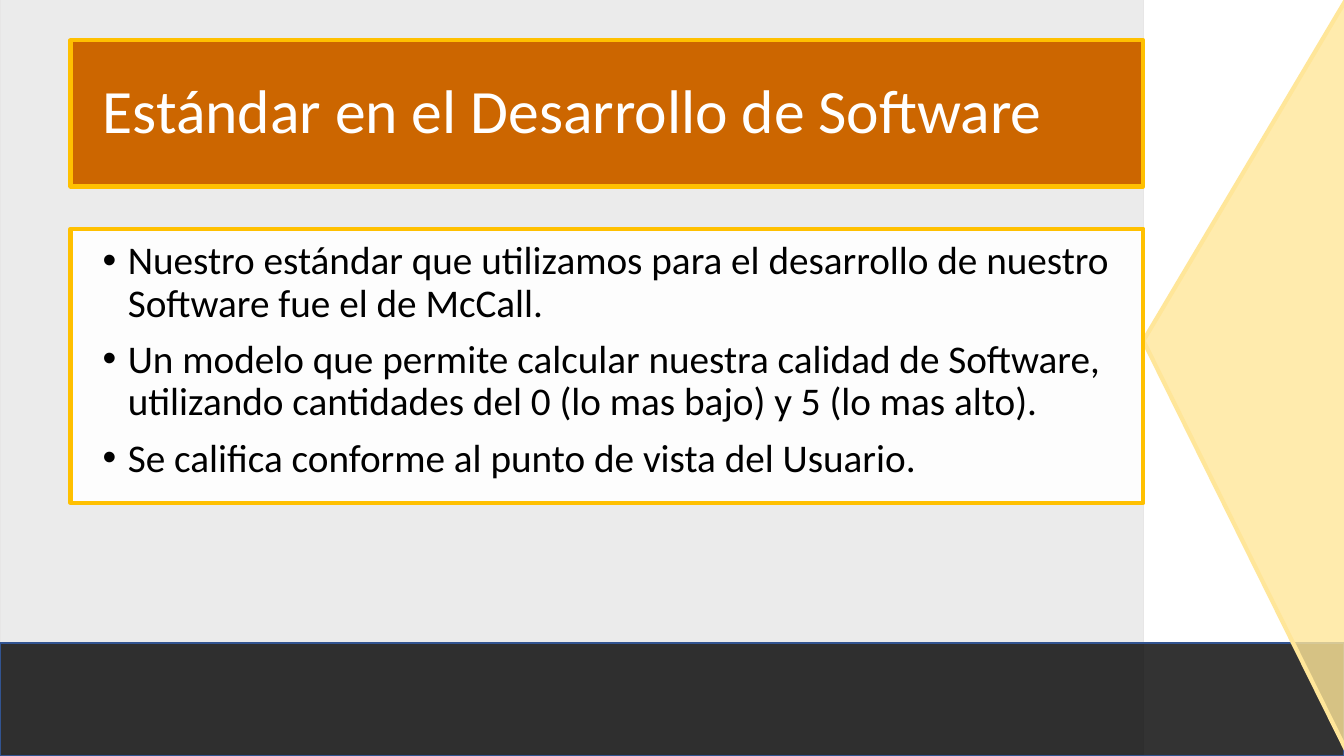
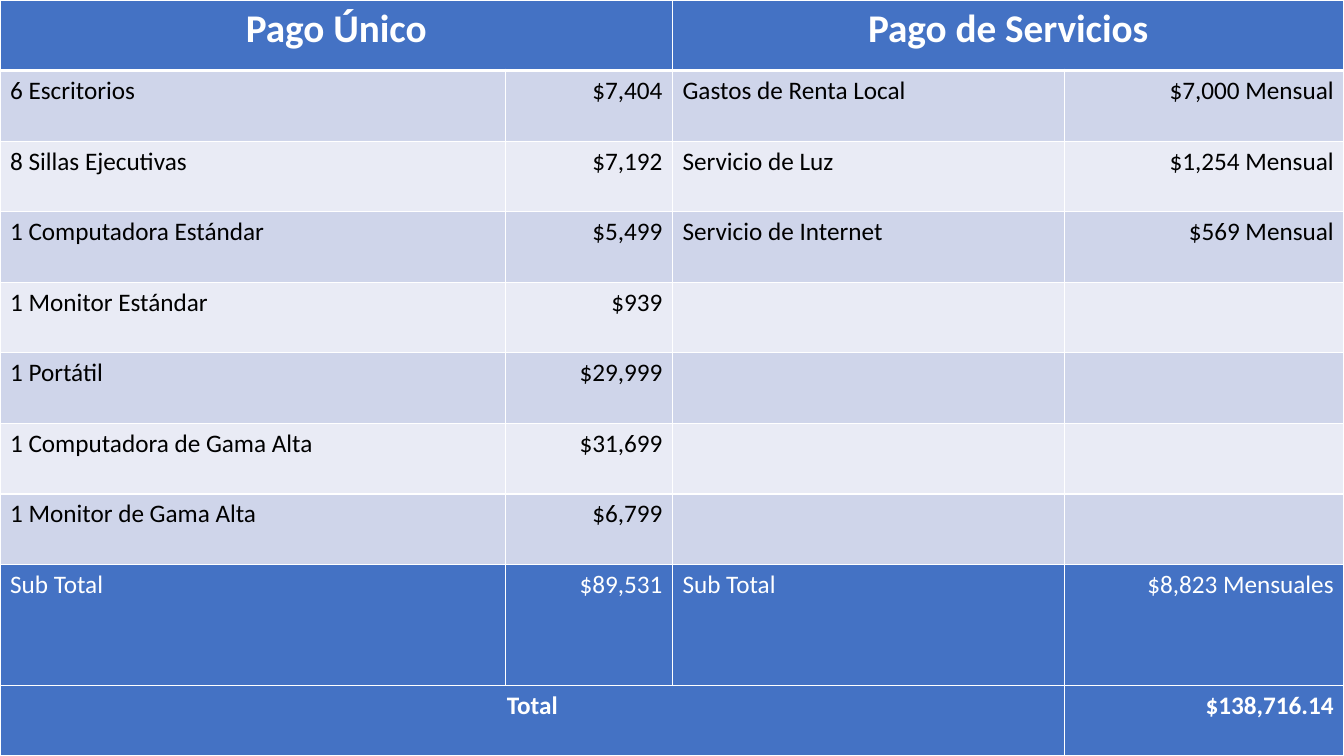
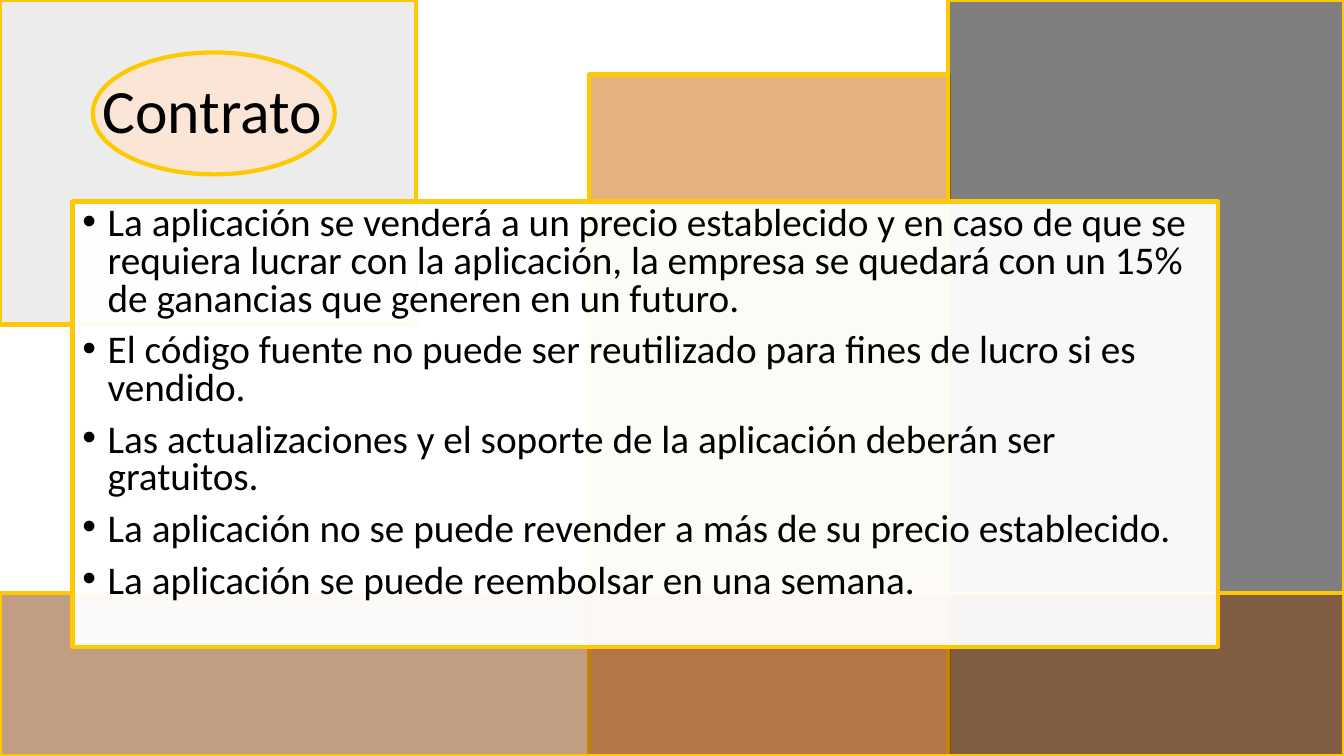
"""Builds three slides: quality standard, cost table and contract terms."""
from lxml.etree import SubElement
from pptx import Presentation
from pptx.dml.color import RGBColor
from pptx.enum.shapes import MSO_SHAPE as Preset
from pptx.enum.text import MSO_ANCHOR as Anchor, PP_ALIGN as Align
from pptx.oxml.ns import qn
from pptx.util import Inches, Pt

FONT = "Calibri"
WHITE, BLACK, ORANGE = "FFFFFF", "000000", "CC6600"
GOLD, AMBER, CREAM, GREY = "FFC000", "FFC901", "FFE699", "E7E6E6"
BLUE, BAND_DARK, BAND_LIGHT = "4472C4", "CFD5EA", "E9EBF5"
TITLE_BOX = (0.92, 0.4, 11.5, 1.45)

color = RGBColor.from_string


def paint(shape, fill, opacity, line, width):
    """Gives a shape its fill, opacity in percent and outline."""
    shape.shadow.inherit = False
    shape.fill.solid()
    shape.fill.fore_color.rgb = color(fill)
    if opacity < 100:
        tint = shape.fill._xPr.find(qn("a:solidFill"))[0]
        SubElement(tint, qn("a:alpha"), val=str(opacity * 1000))
    shape.line.color.rgb = color(line)
    shape.line.width = Pt(width)


def write(slide, box, lines, size, text_color=BLACK, spacing=0.9, bullets=False):
    """Adds a text box, either a vertically centred title or a bulleted list."""
    frame = slide.shapes.add_textbox(*map(Inches, box)).text_frame
    frame.word_wrap = True
    frame.vertical_anchor = Anchor.TOP if bullets else Anchor.MIDDLE
    for index, line in enumerate(lines):
        paragraph = frame.add_paragraph() if index else frame.paragraphs[0]
        paragraph.line_spacing = spacing
        if bullets:
            paragraph.space_before = Pt(10)
            properties = paragraph._p.get_or_add_pPr()
            properties.set("marL", str(Inches(0.25)))
            properties.set("indent", str(-Inches(0.25)))
            SubElement(properties, qn("a:buFont"), typeface="Arial")
            SubElement(properties, qn("a:buChar"), char="•")
        run = paragraph.add_run()
        run.text = line
        run.font.name = FONT
        run.font.size = Pt(size)
        run.font.color.rgb = color(text_color)


presentation = Presentation()
presentation.slide_width = Inches(13.33)
presentation.slide_height = Inches(7.5)
blank = presentation.slide_layouts[6]

standard = presentation.slides.add_slide(blank)
for box, fill, line in [
    ((0, -0.02, 11.34, 7.5), GREY, GREY),
    ((0, 6.38, 13.33, 1.12), BLACK, "325491"),
]:
    panel = standard.shapes.add_shape(Preset.RECTANGLE, *map(Inches, box))
    paint(panel, fill, 80, line, 1)

builder = standard.shapes.build_freeform(Inches(13.36), Inches(-0.02))
builder.add_line_segments(
    [(Inches(11.34), Inches(3.38)), (Inches(13.38), Inches(7.5))], close=True
)
paint(builder.convert_to_shape(), CREAM, 80, CREAM, 3)

for box, fill, opacity in [
    ((0.7, 0.4, 10.64, 1.45), ORANGE, 100),
    ((0.7, 2.27, 10.64, 2.72), WHITE, 95),
]:
    panel = standard.shapes.add_shape(Preset.RECTANGLE, *map(Inches, box))
    paint(panel, fill, opacity, GOLD, 3)

write(standard, TITLE_BOX, ["Estándar en el Desarrollo de Software"], 44, WHITE)
standard_points = [
    "Nuestro estándar que utilizamos para el desarrollo de nuestro Software fue el de McCall.",
    "Un modelo que permite calcular nuestra calidad de Software, utilizando cantidades del 0 (lo mas bajo) y 5 (lo mas alto).",
    "Se califica conforme al punto de vista del Usuario.",
]
write(standard, (0.92, 2.34, 11.5, 4.76), standard_points, 28, bullets=True)

costs = presentation.slides.add_slide(blank)
cost_rows = [
    ("Pago Único", "", "Pago de Servicios", ""),
    ("6 Escritorios", "$7,404", "Gastos de Renta Local", "$7,000 Mensual"),
    ("8 Sillas Ejecutivas", "$7,192", "Servicio de Luz", "$1,254 Mensual"),
    ("1 Computadora Estándar", "$5,499", "Servicio de Internet", "$569 Mensual"),
    ("1 Monitor Estándar", "$939", "", ""),
    ("1 Portátil", "$29,999", "", ""),
    ("1 Computadora de Gama Alta", "$31,699", "", ""),
    ("1 Monitor de Gama Alta", "$6,799", "", ""),
    ("Sub Total", "$89,531", "Sub Total", "$8,823 Mensuales"),
    ("Total", "", "", "$138,716.14"),
]
header, subtotal, total = 0, 8, 9
table = costs.shapes.add_table(
    len(cost_rows), 4, 0, 0, Inches(13.33), Inches(7.5)
).table
table.first_row = False
table.horz_banding = False
for column, width in zip(table.columns, (5.01, 1.66, 3.89, 2.77)):
    column.width = Inches(width)

for row_index, texts in enumerate(cost_rows):
    table.rows[row_index].height = Inches(1.2 if row_index == subtotal else 0.7)
    strong = row_index in (header, subtotal, total)
    band = BAND_DARK if row_index % 2 else BAND_LIGHT
    for column_index, text in enumerate(texts):
        cell = table.cell(row_index, column_index)
        properties = cell._tc.get_or_add_tcPr()
        for side in "LRTB":
            thick = (row_index, side) in ((header, "B"), (header + 1, "T"))
            border = SubElement(
                properties, qn("a:ln" + side), w=str(Pt(3 if thick else 1))
            )
            border_fill = SubElement(border, qn("a:solidFill"))
            SubElement(border_fill, qn("a:srgbClr"), val=WHITE)
        cell.fill.solid()
        cell.fill.fore_color.rgb = color(BLUE if strong else band)
        if not text:
            continue
        paragraph = cell.text_frame.paragraphs[0]
        if column_index % 2:
            paragraph.alignment = Align.RIGHT
        elif row_index in (header, total):
            paragraph.alignment = Align.CENTER
        run = paragraph.add_run()
        run.text = text
        run.font.name = FONT
        run.font.size = Pt(28 if row_index == header else 18)
        run.font.bold = row_index in (header, total)
        run.font.color.rgb = color(WHITE if strong else BLACK)

for row_index, first, last in [(header, 0, 1), (header, 2, 3), (total, 0, 2)]:
    table.cell(row_index, first).merge(table.cell(row_index, last))

contract = presentation.slides.add_slide(blank)
terms_box = (0.72, 2, 11.36, 4.42)
for preset, box, fill, opacity in [
    (Preset.RECTANGLE, (5.84, 0.74, 3.57, 6.76), ORANGE, 50),
    (Preset.RECTANGLE, (9.4, 0, 3.93, 7.5), BLACK, 50),
    (Preset.RECTANGLE, (0, 5.88, 13.33, 1.62), "843C0B", 50),
    (Preset.RECTANGLE, (0, 0, 4.13, 3.22), "DBDBDB", 50),
    (Preset.RECTANGLE, terms_box, WHITE, 95),
    (Preset.OVAL, (0.92, 0.52, 2.4, 1.21), "FBE5D6", 100),
]:
    panel = contract.shapes.add_shape(preset, *map(Inches, box))
    paint(panel, fill, opacity, AMBER, 3)

write(contract, TITLE_BOX, ["Contrato"], 44)
contract_terms = [
    "La aplicación se venderá a un precio establecido y en caso de que se requiera lucrar con la aplicación, la empresa se quedará con un 15% de ganancias que generen en un futuro.",
    "El código fuente no puede ser reutilizado para fines de lucro si es vendido.",
    "Las actualizaciones y el soporte de la aplicación deberán ser gratuitos.",
    "La aplicación no se puede revender a más de su precio establecido.",
    "La aplicación se puede reembolsar en una semana.",
]
write(contract, terms_box, contract_terms, 28, spacing=0.8, bullets=True)

presentation.save("out.pptx")
